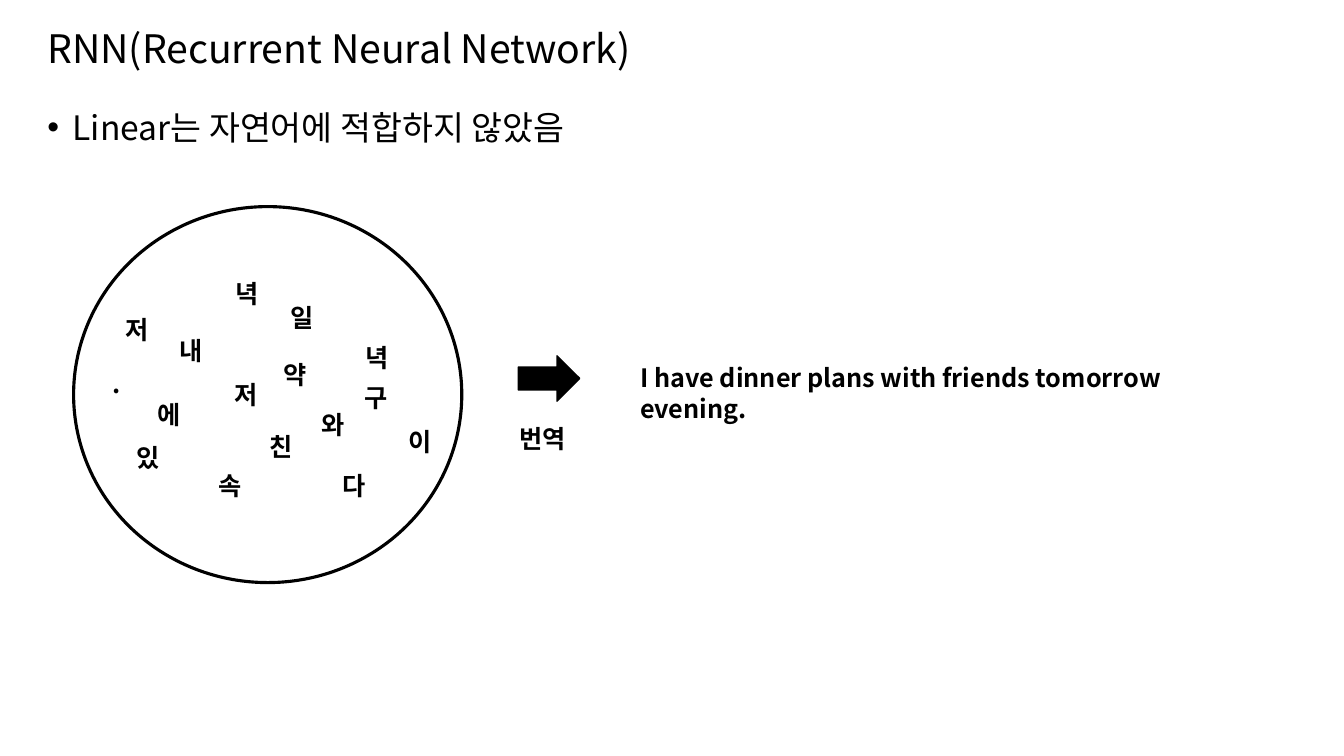
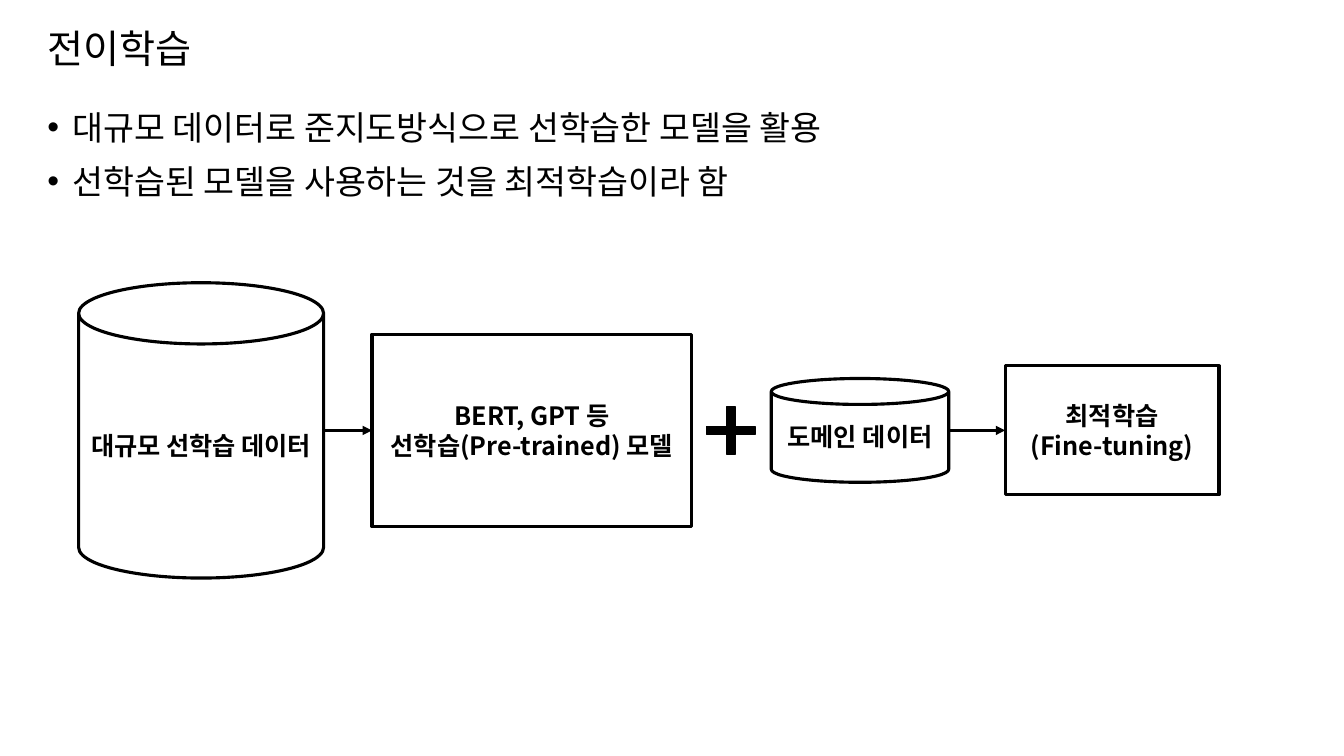
from lxml.etree import SubElement
from pptx import Presentation
from pptx.dml.color import RGBColor
from pptx.enum.shapes import MSO_CONNECTOR, MSO_SHAPE
from pptx.enum.text import MSO_ANCHOR, MSO_AUTO_SIZE, PP_ALIGN
from pptx.oxml.ns import qn
from pptx.util import Inches, Pt

COLORS = {"ink": "000000", "paper": "FFFFFF"}
FONT = "Noto Sans CJK KR"
OUTLINE = 2.25
CONTENT_LEFT, CONTENT_WIDTH = 0.37, 12.6
FLOW_AXIS = 4.27

SYLLABLES = [
    ("내", 1.68, 3.28), ("녁", 2.24, 2.71), ("에", 1.46, 3.91),
    ("일", 2.78, 2.95), ("저", 2.23, 3.71), ("친", 2.57, 4.23),
    ("구", 3.52, 3.74), ("와", 3.09, 4.01), ("저", 1.15, 3.07),
    ("녁", 3.53, 3.35), ("약", 2.71, 3.52), ("속", 2.07, 4.62),
    ("이", 3.95, 4.18), ("있", 1.26, 4.34), ("다", 3.3, 4.62),
]


def color(name):
    return RGBColor.from_string(COLORS[name])


def place(shape, left, top, width, height):
    shape.left, shape.top = Inches(left), Inches(top)
    shape.width, shape.height = Inches(width), Inches(height)


def format_paragraph(paragraph, size, bold=False):
    """Set the font for both Latin and Korean text."""
    font = paragraph.font
    font.size, font.bold, font.name = Pt(size), bold, FONT
    font.color.rgb = color("ink")
    properties = paragraph._p.get_or_add_pPr().find(qn("a:defRPr"))
    SubElement(properties, qn("a:ea"), typeface=FONT)


def add_slide(presentation, title, bullets):
    slide = presentation.slides.add_slide(presentation.slide_layouts[1])

    heading = slide.shapes.title
    place(heading, CONTENT_LEFT, 0.21, CONTENT_WIDTH, 0.59)
    heading.text_frame.vertical_anchor = MSO_ANCHOR.MIDDLE
    paragraph = heading.text_frame.paragraphs[0]
    paragraph.text = title
    paragraph.alignment = PP_ALIGN.LEFT
    paragraph.line_spacing = 0.9
    format_paragraph(paragraph, 28)

    body = slide.placeholders[1]
    place(body, CONTENT_LEFT, 1.01, CONTENT_WIDTH, 5.91)
    body.text_frame.text = "\n".join(bullets)
    for index, paragraph in enumerate(body.text_frame.paragraphs):
        paragraph.space_before = Pt(10 if index else 0)
        properties = paragraph._p.get_or_add_pPr()
        properties.set("marL", str(Inches(0.25)))
        properties.set("indent", str(Inches(-0.25)))
        SubElement(properties, qn("a:buChar"), char="•")
        format_paragraph(paragraph, 24)
    return slide


def add_label(slide, text, left, top, width=0.43, wrap=False):
    label = slide.shapes.add_textbox(
        Inches(left), Inches(top), Inches(width), Inches(0.4))
    label.text_frame.word_wrap = wrap
    label.text_frame.auto_size = MSO_AUTO_SIZE.SHAPE_TO_FIT_TEXT
    paragraph = label.text_frame.paragraphs[0]
    paragraph.text = text
    format_paragraph(paragraph, 18, bold=True)


def add_figure(slide, kind, left, top, width, height,
               text="", fill="paper", line_width=OUTLINE):
    shape = slide.shapes.add_shape(
        kind, Inches(left), Inches(top), Inches(width), Inches(height))
    shape.shadow.inherit = False
    shape.fill.solid()
    shape.fill.fore_color.rgb = color(fill)
    shape.line.color.rgb = color("ink")
    shape.line.width = Pt(line_width)
    if text:
        shape.text_frame.vertical_anchor = MSO_ANCHOR.MIDDLE
        paragraph = shape.text_frame.paragraphs[0]
        paragraph.text = text
        paragraph.alignment = PP_ALIGN.CENTER
        format_paragraph(paragraph, 18, bold=True)
    return shape


def add_flow_step(slide, kind, left, width, height, text="", **style):
    """Add a figure centred vertically on the flow axis."""
    return add_figure(slide, kind, left, FLOW_AXIS - height / 2,
                      width, height, text, **style)


def add_flow_arrow(slide, source, target):
    axis = Inches(FLOW_AXIS)
    arrow = slide.shapes.add_connector(
        MSO_CONNECTOR.STRAIGHT, source.left + source.width, axis,
        target.left, axis)
    arrow.line.color.rgb = color("ink")
    arrow.line.width = Pt(OUTLINE)
    SubElement(arrow.line._get_or_add_ln(), qn("a:tailEnd"), type="triangle")
    SubElement(arrow._element.spPr, qn("a:effectLst"))


def build_rnn_slide(presentation):
    slide = add_slide(presentation, "RNN(Recurrent Neural Network)",
                      ["Linear는 자연어에 적합하지 않았음"])
    add_figure(slide, MSO_SHAPE.OVAL, 0.73, 2.05, 3.85, 3.73)
    for syllable, left, top in SYLLABLES:
        add_label(slide, syllable, left, top)
    add_label(slide, ".", 1.02, 3.6, 0.26)
    add_figure(slide, MSO_SHAPE.RIGHT_ARROW, 5.14, 3.53, 0.61, 0.45,
               fill="ink", line_width=1)
    add_label(slide, "번역", 5.05, 4.15, 0.66)
    add_label(slide, "I have dinner plans with friends tomorrow evening.",
              6.25, 3.55, 5.99, wrap=True)


def build_transfer_learning_slide(presentation):
    slide = add_slide(presentation, "전이학습", [
        "대규모 데이터로 준지도방식으로 선학습한 모델을 활용",
        "선학습된 모델을 사용하는 것을 최적학습이라 함",
    ])
    corpus = add_flow_step(slide, MSO_SHAPE.CAN, 0.78, 2.43, 2.93,
                           "대규모 선학습 데이터")
    model = add_flow_step(slide, MSO_SHAPE.RECTANGLE, 3.69, 3.17, 1.91,
                          "BERT, GPT 등\n선학습(Pre-trained) 모델")
    plus = add_flow_step(slide, MSO_SHAPE.CROSS, 7.01, 0.48, 0.48,
                         fill="ink", line_width=1)
    plus.adjustments[0] = 0.416
    domain = add_flow_step(slide, MSO_SHAPE.CAN, 7.65, 1.76, 1.03,
                           "도메인 데이터")
    tuning = add_flow_step(slide, MSO_SHAPE.RECTANGLE, 9.97, 2.12, 1.28,
                           "최적학습\n(Fine-tuning)")
    add_flow_arrow(slide, corpus, model)
    add_flow_arrow(slide, domain, tuning)


def main():
    presentation = Presentation()
    presentation.slide_width = Inches(13.33)
    presentation.slide_height = Inches(7.5)
    build_rnn_slide(presentation)
    build_transfer_learning_slide(presentation)
    presentation.save("out.pptx")


if __name__ == "__main__":
    main()
